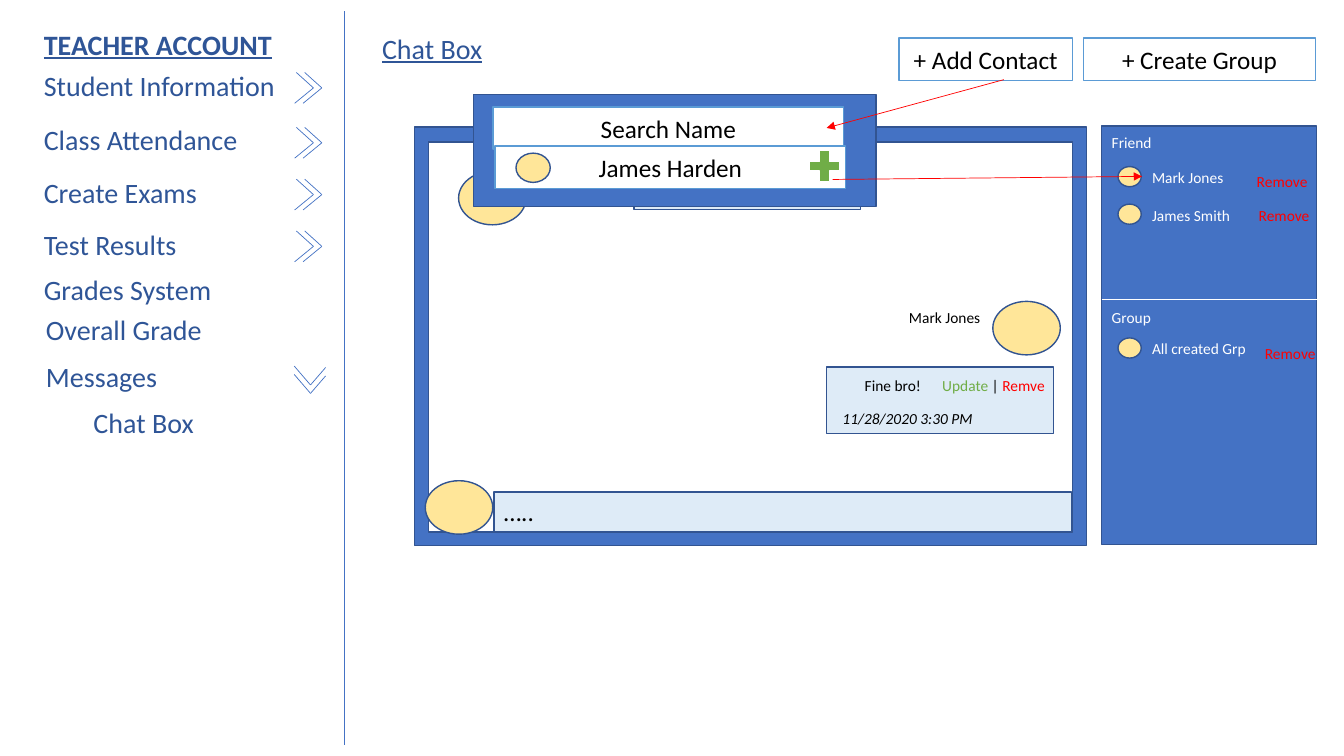
"""Build the teacher account chat box wireframe slide."""
from dataclasses import dataclass

from lxml.etree import SubElement
from pptx import Presentation
from pptx.dml.color import RGBColor
from pptx.enum.shapes import MSO_CONNECTOR, MSO_SHAPE
from pptx.enum.text import MSO_ANCHOR, MSO_AUTO_SIZE, PP_ALIGN
from pptx.oxml.ns import qn
from pptx.util import Pt


@dataclass(frozen=True)
class Theme:
    font: str = "Calibri"
    navy: str = "2F5597"
    blue: str = "4472C4"
    edge: str = "325491"
    sky: str = "5B9BD5"
    pale: str = "DEEBF7"
    cream: str = "FFE699"
    green: str = "70AD47"
    red: str = "FF0000"
    white: str = "FFFFFF"
    black: str = "000000"
    menu: int = 20
    button: int = 18
    small: int = 11
    thin: float = 0.5
    outline: float = 1


T = Theme()

TITLE = "Chat Box"
MENU = [  # text, space before, indent
    ("TEACHER ACCOUNT", 0, 0),
    ("Student Information", 5.8, 0),
    ("Class Attendance", 14.5, 0),
    ("Create Exams", 13.8, 0),
    ("Test Results", 13, 0),
    ("Grades System", 8.2, 0),
    ("Overall Grade", 4.6, 1.5),
    ("Messages", 9.4, 1.5),
    ("Chat Box", 8.8, 35.5),
]
CHEVRON_TOPS = [51.8, 91, 128, 165]
BUTTONS = [("+ Add Contact", 642.2, 123.8), ("+ Create Group", 774, 165.6)]
SECTIONS = [("Friend", 91.4), ("Group", 216.7)]
CONTACTS = [
    ("Mark Jones", 116.6, 880.8, 119.5),
    ("James Smith", 143.4, 882.2, 144),
    ("All created Grp", 239, 886.6, 241.9),
]
SENDER, MESSAGE, SENT = "Mark Jones", "Fine bro!", "11/28/2020 3:30 PM"
ACTIONS = [("Update", T.green), (" | ", T.black), ("Remve", T.red)]
DRAFT = "….."
SEARCH = [("Search Name", 352.1, 76.3), ("James Harden", 353.5, 104.4)]
AVATAR = (48.2, 38.2)
FRIEND_DOT = (16.6, 14.4)


def rgb(value):
    """Turn a hex string into a colour."""
    return RGBColor.from_string(value)


def style(r, size, color, bold=None, italic=None, underline=None):
    """Format one run."""
    f = r.font
    f.name, f.size, f.color.rgb = T.font, Pt(size), rgb(color)
    f.bold, f.italic, f.underline = bold, italic, underline


def place(sp, x, y, w, h):
    """Move and size a shape."""
    sp.left, sp.top, sp.width, sp.height = Pt(x), Pt(y), Pt(w), Pt(h)


def shape(s, kind, box, fill, line, text="", align=PP_ALIGN.CENTER):
    """Add a filled preset shape with optional button text."""
    sp = s.shapes.add_shape(kind, *map(Pt, box))
    sp.shadow.inherit = False
    sp.fill.solid()
    sp.fill.fore_color.rgb = rgb(fill)
    sp.line.color.rgb, sp.line.width = rgb(line), Pt(T.outline)
    if text:
        tf = sp.text_frame
        tf.text, tf.vertical_anchor = text, MSO_ANCHOR.MIDDLE
        tf.paragraphs[0].alignment = align
        style(tf.paragraphs[0].runs[0], T.button, T.black)


def rect(s, box, fill, line, text="", align=PP_ALIGN.CENTER):
    """Add a rectangle."""
    shape(s, MSO_SHAPE.RECTANGLE, box, fill, line, text, align)


def dot(s, x, y, size):
    """Add a round portrait marker."""
    shape(s, MSO_SHAPE.OVAL, (x, y, *size), T.cream, T.edge)


def label(s, x, y, w, parts, align=PP_ALIGN.LEFT, italic=None):
    """Add a small text line made of coloured parts."""
    tf = s.shapes.add_textbox(Pt(x), Pt(y), Pt(w), Pt(20.9)).text_frame
    tf.word_wrap = True
    p = tf.paragraphs[0]
    p.alignment = align
    for text, color in parts:
        r = p.add_run()
        r.text = text
        style(r, T.small, color, italic=italic)


def line(s, start, end, color, arrow=False):
    """Add a thin straight line, optionally with an arrowhead."""
    c = s.shapes.add_connector(MSO_CONNECTOR.STRAIGHT, *map(Pt, (*start, *end)))
    c.line.color.rgb, c.line.width = rgb(color), Pt(T.thin)
    pr = c.element.spPr
    if arrow:
        SubElement(pr.find(qn("a:ln")), qn("a:tailEnd"), type="triangle")
    SubElement(pr, qn("a:effectLst"))


def chevron(s, points, dx, dy):
    """Draw a doubled chevron, the second one shifted."""
    for k in range(2):
        a, tip, b = [(x + k * dx, y + k * dy) for x, y in points]
        line(s, a, tip, T.blue)
        line(s, b, tip, T.blue)


def sidebar(s, body):
    """Fill the menu and draw its markers."""
    place(body, 24.1, 15.8, 200, 308)
    tf = body.text_frame
    tf.text = "\n".join(text for text, _, _ in MENU)
    tf.auto_size, tf.vertical_anchor = MSO_AUTO_SIZE.NONE, MSO_ANCHOR.TOP
    for i, (p, (_, before, indent)) in enumerate(zip(tf.paragraphs, MENU)):
        p.line_spacing, p.space_before = 1.0, Pt(before)
        pr = p._p.get_or_add_pPr()
        pr.set("marL", str(Pt(indent)))
        pr.set("indent", "0")
        SubElement(pr, qn("a:buNone"))
        head = True if i == 0 else None
        style(p.runs[0], T.menu, T.navy, bold=head, underline=head)
    line(s, (246.2, 8), (246.2, 532), T.blue)
    for y in CHEVRON_TOPS:
        chevron(s, [(211.7, y), (223.9, y + 11), (210.5, y + 22)], 6, 0)
    chevron(s, [(210.2, 261.5), (221.8, 275), (232.6, 262.5)], 0, 6)


def contacts(s):
    """Draw the friend and group panel."""
    rect(s, (787, 90, 153.4, 298.8), T.blue, T.edge)
    line(s, (787, 213.8), (943.2, 213.8), T.white)
    for text, y in SECTIONS:
        label(s, 787, y, 127.4, [(text, T.white)])
    for name, y, remove_x, remove_y in CONTACTS:
        dot(s, 798.6, y + 2.4, FRIEND_DOT)
        label(s, 815.8, y, 127.4, [(name, T.white)])
        label(s, remove_x, remove_y, 70, [("Remove", T.red)], PP_ALIGN.CENTER)


def chat(s):
    """Draw the conversation window."""
    rect(s, (295.9, 90.7, 480.2, 298.8), T.blue, T.edge)
    rect(s, (306, 101.5, 460, 278.6), T.white, T.edge)
    for box in [(452.9, 123.1, 162, 26.6), (590.4, 262.1, 162, 47.5)]:
        rect(s, box, T.pale, T.edge)
    rect(s, (352.8, 351.4, 412.6, 28.1), T.pale, T.edge, DRAFT, PP_ALIGN.LEFT)
    for x, y in [(327.6, 122.4), (709.2, 215.3), (303.8, 343.4)]:
        dot(s, x, y, AVATAR)
    label(s, 642.2, 216.7, 77, [(SENDER, T.black)])
    label(s, 610.6, 265.3, 77, [(MESSAGE, T.black)])
    label(s, 661, 265.3, 97.2, ACTIONS, PP_ALIGN.CENTER)
    label(s, 594.7, 288.7, 124.6, [(SENT, T.black)], italic=True)


def search(s):
    """Draw the search popup and its arrows."""
    rect(s, (338.4, 67.7, 287.3, 79.9), T.blue, T.edge)
    for text, x, y in SEARCH:
        rect(s, (x, y, 250.6, 30.2), T.white, T.sky, text)
    dot(s, 368.6, 109.4, (24.5, 20.9))
    shape(s, MSO_SHAPE.MATH_PLUS, (574.6, 103.7, 28.8, 30.2), T.green, T.white)
    line(s, (717.1, 56.9), (590.4, 91.4), T.red, arrow=True)
    line(s, (594.7, 128.2), (815.8, 126), T.red, arrow=True)


def main():
    """Compose and save the slide."""
    prs = Presentation()
    prs.slide_width, prs.slide_height = Pt(960), Pt(540)
    s = prs.slides.add_slide(prs.slide_layouts[1])
    title, body = s.placeholders
    place(title, 265.7, 18.7, 285, 31.7)
    tf = title.text_frame
    tf.text, tf.vertical_anchor = TITLE, MSO_ANCHOR.TOP
    tf.auto_size = MSO_AUTO_SIZE.NONE
    tf.paragraphs[0].alignment = PP_ALIGN.LEFT
    style(tf.paragraphs[0].runs[0], T.menu, T.navy, underline=True)
    sidebar(s, body)
    for text, x, w in BUTTONS:
        rect(s, (x, 27.2, w, 30.2), T.white, T.sky, text)
    contacts(s)
    chat(s)
    search(s)
    prs.save("out.pptx")


if __name__ == "__main__":
    main()
